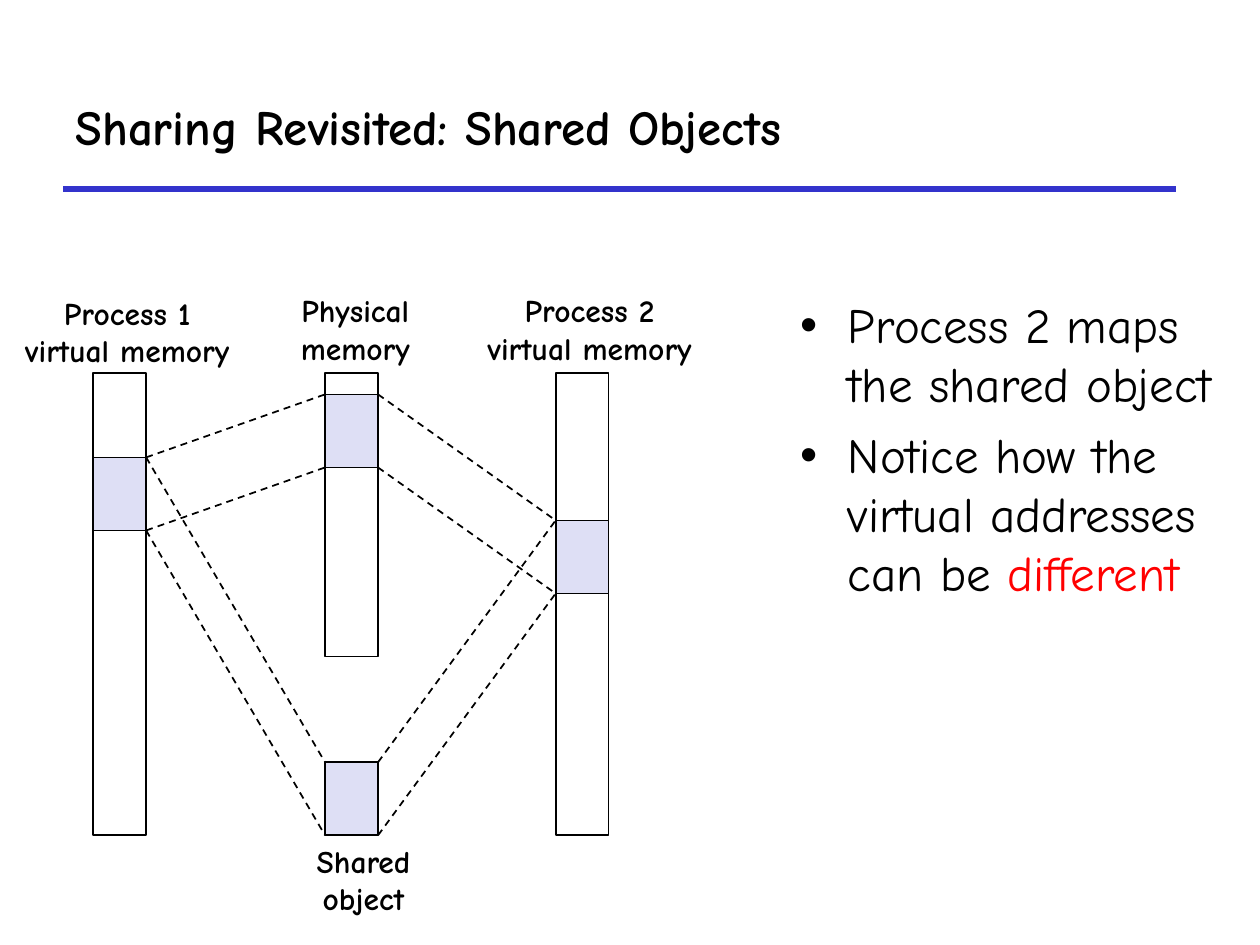
from lxml import etree
from pptx import Presentation
from pptx.dml.color import RGBColor
from pptx.enum.dml import MSO_LINE
from pptx.enum.shapes import MSO_CONNECTOR, MSO_SHAPE
from pptx.enum.text import MSO_ANCHOR, MSO_AUTO_SIZE, PP_ALIGN
from pptx.oxml.ns import qn
from pptx.util import Inches, Pt

STRAIGHT = MSO_CONNECTOR.STRAIGHT
RECTANGLE = MSO_SHAPE.RECTANGLE
DASH = MSO_LINE.DASH
MIDDLE = MSO_ANCHOR.MIDDLE
NO_AUTOFIT, GROW = MSO_AUTO_SIZE.NONE, MSO_AUTO_SIZE.SHAPE_TO_FIT_TEXT
LEFT, CENTER = PP_ALIGN.LEFT, PP_ALIGN.CENTER

FONT = "Comic Neue"
BLACK, BLUE, LILAC, RED = "000000", "3333CC", "DEDFF5", "FF0000"
BAR_WIDTH = 0.42
SHARED_HEIGHT = 0.58


def color(hex_string):
    return RGBColor.from_string(hex_string)


def set_font(paragraph, size, bold):
    font = paragraph.font
    font.name, font.size, font.bold = FONT, Pt(size), bold
    font.color.rgb = color(BLACK)


def place(shape, left, top, width, height):
    shape.left, shape.top = Inches(left), Inches(top)
    shape.width, shape.height = Inches(width), Inches(height)


def add_line(slide, start, end, line_color=BLACK, width=1, dash=None):
    line = slide.shapes.add_connector(
        STRAIGHT, *(Inches(value) for value in (*start, *end)))
    line.line.color.rgb = color(line_color)
    line.line.width = Pt(width)
    if dash:
        line.line.dash_style = dash
    etree.SubElement(line._element.spPr, qn("a:effectLst"))


def add_block(slide, left, top, height, fill=None):
    block = slide.shapes.add_shape(
        RECTANGLE, Inches(left), Inches(top), Inches(BAR_WIDTH), Inches(height))
    block.shadow.inherit = False
    if fill:
        block.fill.solid()
        block.fill.fore_color.rgb = color(fill)
    else:
        block.fill.background()
    block.line.color.rgb = color(BLACK)
    block.line.width = Pt(1)


def add_label(slide, lines, left, top, width):
    label = slide.shapes.add_textbox(
        Inches(left), Inches(top), Inches(width), Inches(0.7))
    frame = label.text_frame
    frame.word_wrap = False
    frame.auto_size = GROW
    frame.vertical_anchor = MIDDLE
    frame.text = "\n".join(lines)
    for paragraph in frame.paragraphs:
        paragraph.alignment = CENTER
        set_font(paragraph, 18, True)


def add_heading(slide, left, top, width, height):
    title = slide.shapes.title
    place(title, left, top, width, height)
    title.text = "Sharing Revisited: Shared Objects"
    title.text_frame.vertical_anchor = MIDDLE
    title.text_frame.auto_size = NO_AUTOFIT
    heading = title.text_frame.paragraphs[0]
    heading.alignment = LEFT
    set_font(heading, 28, True)
    bottom = top + height
    add_line(slide, (left, bottom), (left + width, bottom), BLUE, 3)


def add_memory_diagram(slide, left, top):
    """Draw the memory bars and dashed mappings; left, top is the first bar's corner."""
    physical_x, process2_x = left + 1.84, left + 3.67
    bottom = top + 3.67
    for x, height in ((left, 3.67), (physical_x, 2.25), (process2_x, 3.67)):
        add_block(slide, x, top, height)

    process1 = (left, top + 0.67)
    physical = (physical_x, top + 0.17)
    process2 = (process2_x, top + 1.17)
    shared = (physical_x, bottom - SHARED_HEIGHT)
    for x, y in (process1, physical, process2, shared):
        add_block(slide, x, y, SHARED_HEIGHT, LILAC)

    mappings = ((process1, shared), (shared, process2),
                (process1, physical), (physical, process2))
    for (from_x, from_y), (to_x, to_y) in mappings:
        for offset in (0, SHARED_HEIGHT):
            add_line(slide, (from_x + BAR_WIDTH, from_y + offset),
                     (to_x, to_y + offset), dash=DASH)

    add_label(slide, ("Process 1", "virtual memory"), left - 0.64, top - 0.68, 1.82)
    add_label(slide, ("Physical", "memory"), physical_x - 0.31, top - 0.7, 1.1)
    add_label(slide, ("Process 2", "virtual memory"), process2_x - 0.64, top - 0.7, 1.82)
    add_label(slide, ("Shared", "object"), physical_x - 0.17, bottom, 0.95)


def add_remarks(slide, left, top, width, height):
    body = slide.placeholders[1]
    place(body, left, top, width, height)
    frame = body.text_frame
    frame.auto_size = NO_AUTOFIT
    frame.text = ("Process 2 maps the shared object\n"
                  "Notice how the virtual addresses can be ")
    for paragraph in frame.paragraphs:
        properties = paragraph._p.get_or_add_pPr()
        properties.set("marL", str(Inches(0.38)))
        properties.set("indent", str(-Inches(0.38)))
        etree.SubElement(properties, qn("a:buChar"), char="•")
        set_font(paragraph, 28, False)
    first, second = frame.paragraphs
    first.space_before = Pt(0)
    second.space_before = Pt(7)
    emphasis = second.add_run()
    emphasis.text = "different"
    emphasis.font.color.rgb = color(RED)


def main():
    presentation = Presentation()
    presentation.slide_width, presentation.slide_height = Inches(10), Inches(7.5)
    slide = presentation.slides.add_slide(presentation.slide_layouts[1])
    add_heading(slide, 0.5, 0.5, 8.83, 1)
    add_memory_diagram(slide, 0.74, 2.96)
    add_remarks(slide, 6.25, 2.29, 3.48, 5.04)
    presentation.save("out.pptx")


if __name__ == "__main__":
    main()
